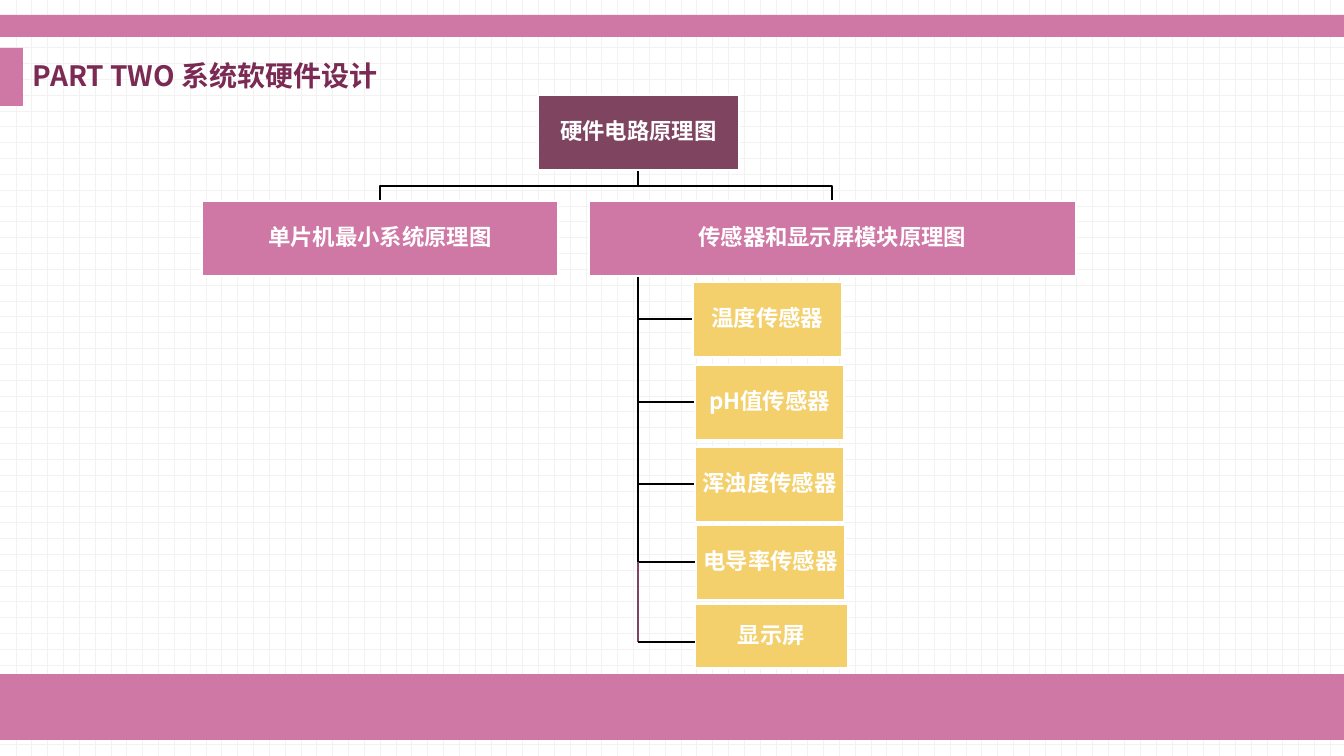
from lxml import etree
from pptx import Presentation
from pptx import util as u
from pptx.dml.color import RGBColor
from pptx.enum import dml, shapes, text
from pptx.oxml.ns import qn

PX = 914400 / 100.8
WIDTH, HEIGHT = 1344, 756
PINK = RGBColor(0xD0, 0x78, 0xA5)
PLUM = RGBColor(0x7E, 0x44, 0x60)
TITLE_PLUM = RGBColor(0x7A, 0x2A, 0x53)
YELLOW = RGBColor(0xF3, 0xD0, 0x6C)
GRID = RGBColor(0xF2, 0xF2, 0xF2)
WHITE = RGBColor(0xFF, 0xFF, 0xFF)
BLACK = RGBColor(0, 0, 0)
FONT = "Noto Sans CJK SC"
LEAVES = [
    ("温度传感器", (104, 81, 149, 75), FONT),
    ("pH值传感器", (106, 164, 149, 75), FONT),
    ("浑浊度传感器", (106, 246, 149, 75), FONT),
    ("电导率传感器", (107, 324, 149, 75), FONT),
    ("显示屏", (106, 403, 153, 64), "League Spartan"),
]


def px(*lengths):
    """Turn px lengths into EMU."""
    return [u.Emu(round(length * PX)) for length in lengths]


def write(shape, wording, size, color, font_name=FONT):
    """Put one bold, vertically centred line of text in a shape."""
    frame = shape.text_frame
    frame.word_wrap = True
    frame.vertical_anchor = text.MSO_ANCHOR.MIDDLE
    paragraph = frame.paragraphs[0]
    paragraph.text = wording
    paragraph.line_spacing = 0.9
    font = paragraph.font
    font.size, font.bold, font.name = u.Pt(size), True, font_name
    font.color.rgb = color
    etree.SubElement(font._rPr, qn("a:ea"), typeface=FONT)
    return paragraph


def add_block(slide, box, color):
    """Add a plain filled rectangle."""
    shape = slide.shapes.add_shape(shapes.MSO_SHAPE.RECTANGLE, *px(*box))
    shape.shadow.inherit = False
    shape.fill.solid()
    shape.fill.fore_color.rgb = color
    shape.line.fill.background()
    return shape


def add_node(slide, box, color, wording, font_name=FONT):
    """Add a white-edged chart node with a centred label."""
    shape = add_block(slide, box, color)
    shape.line.color.rgb = WHITE
    shape.line.width = u.Pt(1.5)
    frame = shape.text_frame
    frame.margin_left = frame.margin_top = frame.margin_right = frame.margin_bottom = px(1)[0]
    write(shape, wording, 16, WHITE, font_name).alignment = text.PP_ALIGN.CENTER


def add_branch(slide, points):
    """Draw an open black polyline through the points."""
    builder = slide.shapes.build_freeform(*points[0], scale=PX)
    builder.add_line_segments(points[1:], close=False)
    shape = builder.convert_to_shape()
    shape.shadow.inherit = False
    shape.fill.background()
    shape.line.color.rgb = BLACK
    shape.line.width = u.Pt(2)


def add_line(slide, start, end, color):
    """Draw a straight line."""
    line = slide.shapes.add_connector(shapes.MSO_CONNECTOR.STRAIGHT, *px(*start, *end))
    line.line.color.rgb = color
    line.line.width = u.Pt(2)
    etree.SubElement(line._element.spPr, qn("a:effectLst"))


def add_frame(slide, width):
    """Set the dotted background and the full-width bands."""
    fill = slide.background.fill
    fill.patterned()
    fill.pattern = dml.MSO_PATTERN.DOTTED_GRID
    fill.fore_color.rgb, fill.back_color.rgb = GRID, WHITE
    add_block(slide, (0, 674, width, 66), PINK)
    add_block(slide, (0, 15, width, 22), PINK)


def add_title(slide, left, top, width, height):
    """Add the section title behind its pink tab."""
    tab = 23
    add_block(slide, (left, top, tab, height), PINK)
    title = slide.shapes.add_textbox(*px(left + tab, top, width - tab, height))
    write(title, "PART TWO 系统软硬件设计", 20, TITLE_PLUM)


def add_hierarchy(slide, left, top, width):
    """Add the root, its two children and the sensor branch below the right one."""
    row_height, gap = 75, 31
    row_top = top + row_height + gap
    row_bottom = row_top + row_height
    root = (left + 336, top, 201, row_height)
    child_width = 487
    right_left = left + width - child_width
    children = [
        ("单片机最小系统原理图", (left, row_top, 356, row_height)),
        ("传感器和显示屏模块原理图", (right_left, row_top, child_width, row_height)),
    ]
    leaves = [
        (wording, (right_left + x, row_bottom - 75 + y, w, h), font_name)
        for wording, (x, y, w, h), font_name in LEAVES
    ]
    trunk = root[0] + root[2] // 2

    for _, (x, y, w, h), _ in reversed(leaves[:-1]):
        middle = y + h // 2
        add_branch(slide, [(trunk, row_bottom), (trunk, middle), (x, middle)])
    bend = row_top - gap // 2
    for _, (x, y, w, h) in reversed(children):
        middle = x + w // 2
        add_branch(slide, [(trunk, row_top - gap), (trunk, bend), (middle, bend), (middle, y)])

    add_node(slide, root, PLUM, "硬件电路原理图")
    for wording, box in children:
        add_node(slide, box, PINK, wording)
    for wording, box, font_name in leaves:
        add_node(slide, box, YELLOW, wording, font_name)

    x, y = leaves[-2][1][:2]
    tail_top, tail_bottom = y + row_height // 2, y + 117
    add_line(slide, (trunk, tail_top), (trunk, tail_bottom), PLUM)
    add_line(slide, (trunk, tail_bottom), (leaves[-1][1][0], tail_bottom), BLACK)


def main():
    """Build and save the slide."""
    presentation = Presentation()
    presentation.slide_width, presentation.slide_height = px(WIDTH, HEIGHT)
    slide = presentation.slides.add_slide(presentation.slide_layouts[6])
    add_frame(slide, WIDTH)
    add_title(slide, 0, 48, 559, 58)
    add_hierarchy(slide, 202, 95, 874)
    presentation.save("out.pptx")


if __name__ == "__main__":
    main()
